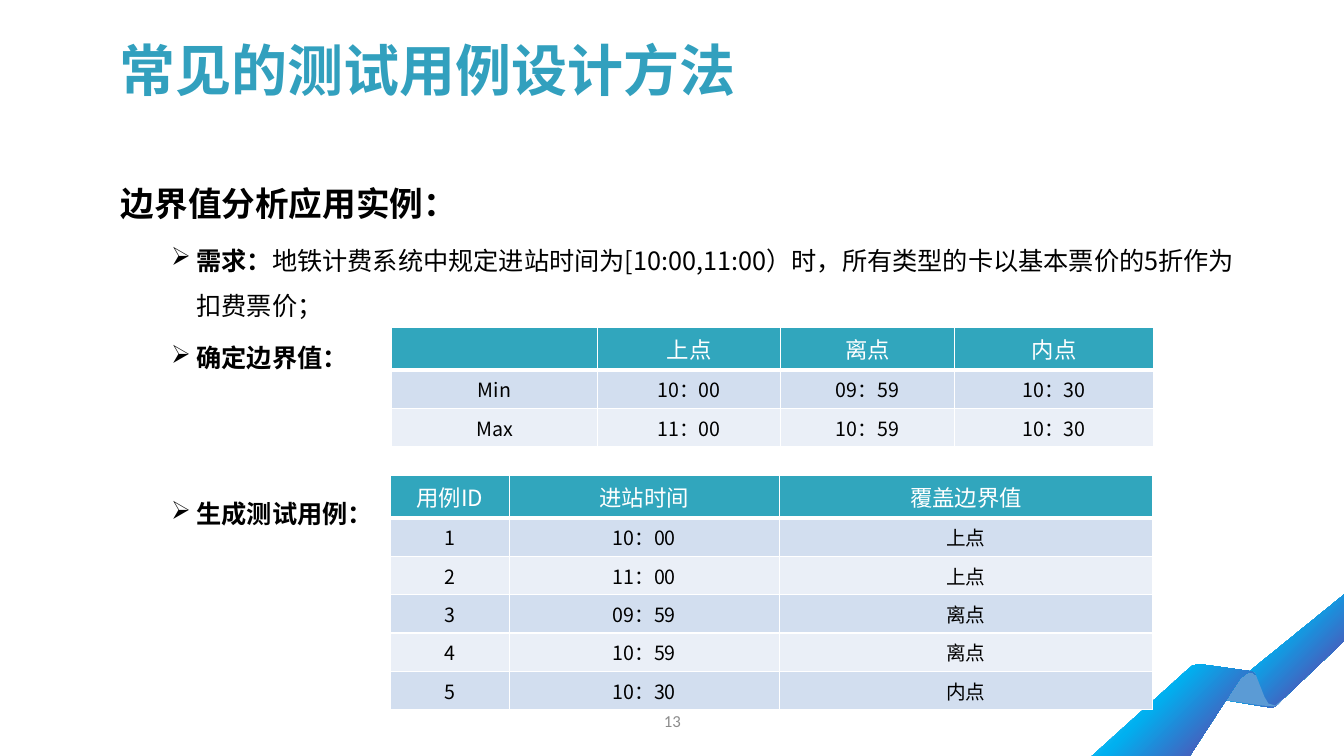
from lxml import etree
from pptx import Presentation
from pptx import util as u
from pptx.dml.color import RGBColor
from pptx.enum import text
from pptx.oxml import parse_xml
from pptx.oxml.ns import nsdecls, qn

PX = 9144
FONT = "Noto Sans CJK SC"
TEAL = "31A6BD"
BANDS = ["EAEFF7", "D2DEEF"]
RIBBON_STOPS = [(0, "71E7FF"), (40, "00B0F0"), (97, "7030A0")]


def rgb(value):
    return RGBColor.from_string(value)


class SlideBuilder:
    def __init__(self, slide):
        self.slide = slide

    def style_run(self, run, size, color, bold=False, font=FONT):
        run.font.size = u.Pt(size)
        run.font.bold = bold
        run.font.name = font
        run.font.color.rgb = rgb(color)
        east_asian = etree.SubElement(run.font._element, qn("a:ea"))
        east_asian.set("typeface", font)

    def textbox(self, left, top, width, height, anchor=text.MSO_ANCHOR.MIDDLE):
        shape = self.slide.shapes.add_textbox(left * PX, top * PX, width * PX, height * PX)
        frame = shape.text_frame
        frame.word_wrap = True
        frame.vertical_anchor = anchor
        return frame

    def label(self, box, content, size, color, bold=False, font=FONT,
              align=text.PP_ALIGN.LEFT, spacing=1.0):
        frame = self.textbox(*box)
        frame.text = content
        paragraph = frame.paragraphs[0]
        paragraph.alignment = align
        paragraph.line_spacing = spacing
        self.style_run(paragraph.runs[0], size, color, bold, font)

    def outline(self, box, heading, bullets):
        frame = self.textbox(*box, anchor=text.MSO_ANCHOR.TOP)
        frame.margin_top = 19 * PX
        paragraph = frame.paragraphs[0]
        paragraph.text = heading
        paragraph.line_spacing = 1.5
        self.style_run(paragraph.runs[0], 24, "000000", True)
        for space, term, detail in bullets:
            paragraph = frame.add_paragraph()
            properties = paragraph._p.get_or_add_pPr()
            properties.set("marL", str(75 * PX))
            properties.set("indent", str(-25 * PX))
            etree.SubElement(properties, qn("a:buChar")).set("char", "➢")
            paragraph.line_spacing = 1.5
            paragraph.space_before = u.Pt(space)
            for content, bold in ((term, True), (detail, False)):
                if content:
                    run = paragraph.add_run()
                    run.text = content
                    self.style_run(run, 18, "000000", bold)

    def freeform(self, points, color=None):
        builder = self.slide.shapes.build_freeform(*points[0], scale=PX)
        builder.add_line_segments(points[1:], close=True)
        shape = builder.convert_to_shape()
        shape.shadow.inherit = False
        shape.line.fill.background()
        if color:
            shape.fill.solid()
            shape.fill.fore_color.rgb = rgb(color)
            return
        shape.fill.gradient()
        shape.fill.gradient_angle = 315
        stops = shape._element.spPr.find(qn("a:gradFill")).find(qn("a:gsLst"))
        for stop in list(stops):
            stops.remove(stop)
        for position, stop_color in RIBBON_STOPS:
            stops.append(parse_xml(
                f'<a:gs {nsdecls("a")} pos="{position * 1000}">'
                f'<a:srgbClr val="{stop_color}"/></a:gs>'))

    def borders(self, cell, header):
        properties = cell._tc.get_or_add_tcPr()
        for index, side in enumerate(("lnL", "lnR", "lnT", "lnB")):
            width = u.Pt(3 if header and side == "lnB" else 1)
            properties.insert(index, parse_xml(
                f'<a:{side} {nsdecls("a")} w="{width}"><a:solidFill>'
                f'<a:srgbClr val="FFFFFF"/></a:solidFill></a:{side}>'))

    def table(self, left, top, widths, rows):
        heights = [42] + [38] * (len(rows) - 1)
        table = self.slide.shapes.add_table(
            len(rows), len(widths), left * PX, top * PX,
            sum(widths) * PX, sum(heights) * PX).table
        for column, width in zip(table.columns, widths):
            column.width = width * PX
        for row_index, (row, height) in enumerate(zip(rows, heights)):
            table.rows[row_index].height = height * PX
            header = row_index == 0
            for column_index, content in enumerate(row):
                cell = table.cell(row_index, column_index)
                cell.vertical_anchor = text.MSO_ANCHOR.MIDDLE
                cell.fill.solid()
                cell.fill.fore_color.rgb = rgb(TEAL if header else BANDS[row_index % 2])
                self.borders(cell, header)
                cell.text_frame.text = content
                paragraph = cell.text_frame.paragraphs[0]
                paragraph.alignment = text.PP_ALIGN.CENTER
                for run in paragraph.runs:
                    self.style_run(run, 16 if header else 14,
                                   "FFFFFF" if header else "000000")


def main():
    presentation = Presentation()
    presentation.slide_width = u.Inches(13.33)
    presentation.slide_height = u.Inches(7.5)
    builder = SlideBuilder(presentation.slides.add_slide(presentation.slide_layouts[6]))

    right_ribbon = [(1265, 701), (1273, 693), (1333, 636), (1333, 590),
                    (1206, 693), (1248, 700), (1261, 702)]
    ribbon_fold = [(1229, 666), (1237, 665), (1244, 667), (1245, 668), (1254, 691),
                   (1258, 698), (1265, 700), (1273, 693), (1268, 699), (1264, 701),
                   (1252, 700), (1210, 694)]
    left_ribbon = [(1183, 660), (1191, 659), (1241, 666), (1245, 669), (1243, 667),
                   (1238, 667), (1230, 673), (1180, 750), (1083, 750), (1176, 666)]
    builder.freeform(right_ribbon)
    builder.freeform(ribbon_fold, "5B9BD5")
    builder.freeform(left_ribbon)

    builder.label((109, 18, 1150, 110), "常见的测试用例设计方法", 40, "32A0BE",
                  bold=True, spacing=0.9)
    builder.label((517, 695, 300, 40), "13", 12, "8C8C8C", font="Calibri",
                  align=text.PP_ALIGN.CENTER)
    builder.outline((110, 142, 1142, 463), "边界值分析应用实例：", [
        (5, "需求：", "地铁计费系统中规定进站时间为[10:00,11:00）时，"
                    "所有类型的卡以基本票价的5折作为扣费票价；"),
        (5, "确定边界值：", ""),
        (79, "生成测试用例：", ""),
    ])
    builder.table(388, 325, [205, 181, 173, 197], [
        ["", "上点", "离点", "内点"],
        ["Min", "10：00", "09：59", "10：30"],
        ["Max", "11：00", "10：59", "10：30"],
    ])
    builder.table(387, 472, [118, 268, 370], [
        ["用例ID", "进站时间", "覆盖边界值"],
        ["1", "10：00", "上点"],
        ["2", "11：00", "上点"],
        ["3", "09：59", "离点"],
        ["4", "10：59", "离点"],
        ["5", "10：30", "内点"],
    ])
    presentation.save("out.pptx")


if __name__ == "__main__":
    main()
